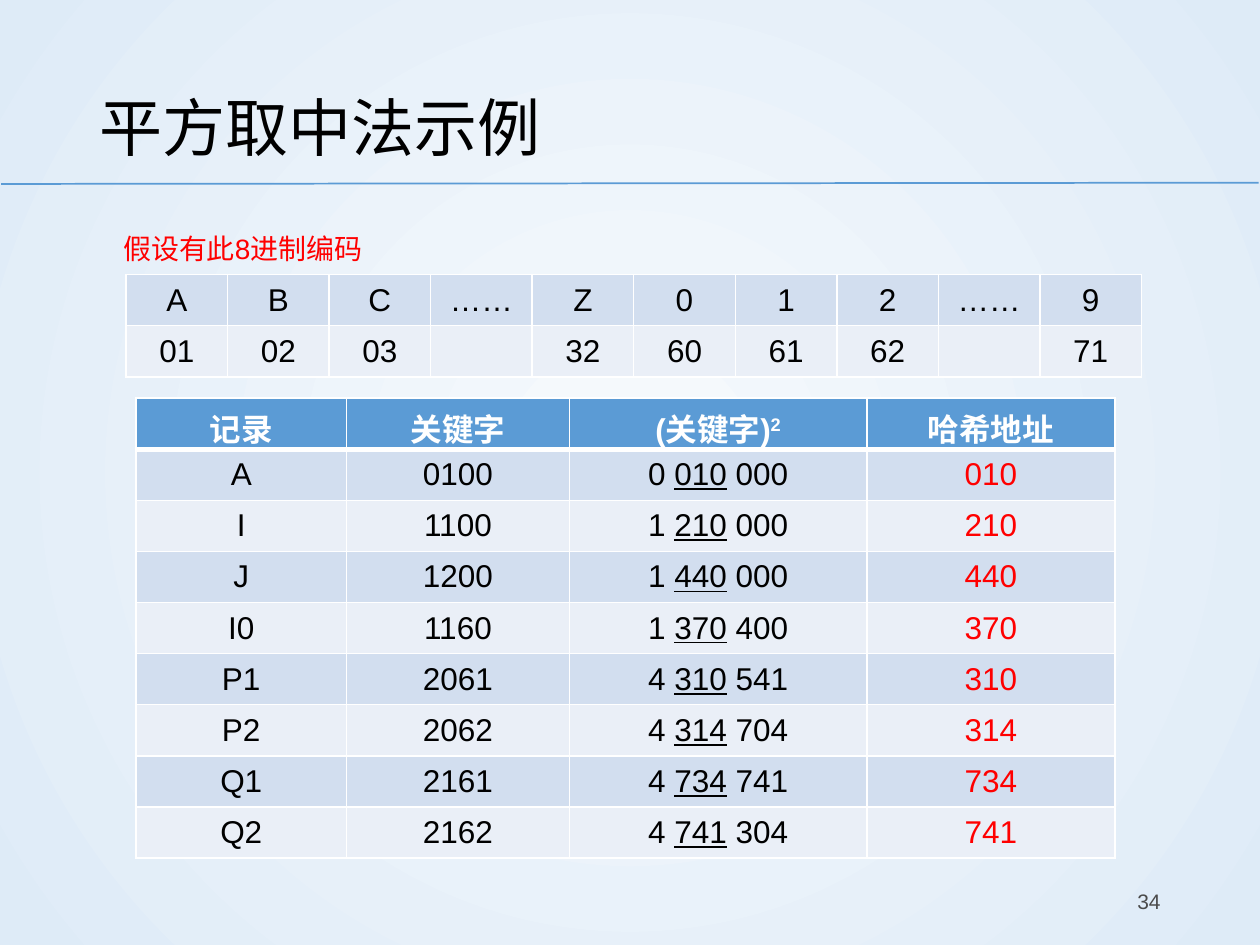
from typing import NamedTuple

from lxml import etree
from pptx import Presentation
from pptx.dml import color
from pptx.enum import shapes, text
from pptx.oxml import ns, parse_xml
from pptx.util import Inches, Pt

BLACK, WHITE, RED, GRAY = "000000", "FFFFFF", "FF0000", "4B4B4B"
BLUE, BAND_DARK, BAND_LIGHT = "5B9BD5", "D2DEEF", "EAEFF7"
LEFT, CENTER, RIGHT = text.PP_ALIGN.LEFT, text.PP_ALIGN.CENTER, text.PP_ALIGN.RIGHT


class Run(NamedTuple):
    words: str
    underline: bool = False
    baseline: int = 0


class Record(NamedTuple):
    name: str
    key: str
    head: str
    middle: str
    tail: str


class Box(NamedTuple):
    left: float
    top: float
    width: float
    height: float

    def lengths(self):
        return [Inches(value) for value in self]


CODES = [
    ["A", "B", "C", "……", "Z", "0", "1", "2", "……", "9"],
    ["01", "02", "03", "", "32", "60", "61", "62", "", "71"],
]
HEADINGS = ["记录", "关键字", [Run("(关键字)"), Run("2", baseline=30000)], "哈希地址"]
RECORDS = [
    Record("A", "0100", "0", "010", "000"),
    Record("I", "1100", "1", "210", "000"),
    Record("J", "1200", "1", "440", "000"),
    Record("I0", "1160", "1", "370", "400"),
    Record("P1", "2061", "4", "310", "541"),
    Record("P2", "2062", "4", "314", "704"),
    Record("Q1", "2161", "4", "734", "741"),
    Record("Q2", "2162", "4", "741", "304"),
]


def rgb(value: str) -> color.RGBColor:
    return color.RGBColor.from_string(value)


def write(frame, content, size=18, ink=BLACK, bold=False, align=LEFT,
          anchor=text.MSO_ANCHOR.MIDDLE, spacing=None) -> None:
    frame.word_wrap = True
    frame.vertical_anchor = anchor
    paragraph = frame.paragraphs[0]
    paragraph.alignment = align
    paragraph.line_spacing = spacing
    for part in [Run(content)] if isinstance(content, str) else content:
        if not part.words:
            continue
        run = paragraph.add_run()
        run.text = part.words
        font = run.font
        font.name, font.size, font.bold = "Arial", Pt(size), bold
        font.color.rgb = rgb(ink)
        if part.underline:
            font.underline = True
        if part.baseline:
            font._element.set("baseline", str(part.baseline))


def add_label(slide, box: Box, content: str, **style):
    label = slide.shapes.add_textbox(*box.lengths())
    write(label.text_frame, content, **style)
    return label


def set_borders(cell, top: float = 1, bottom: float = 1) -> None:
    properties = cell._tc.get_or_add_tcPr()
    edges = {"lnL": 1, "lnR": 1, "lnT": top, "lnB": bottom}
    for index, (tag, width) in enumerate(edges.items()):
        properties.insert(index, parse_xml(
            f'<a:{tag} {ns.nsdecls("a")} w="{Pt(width)}"><a:solidFill>'
            f'<a:srgbClr val="{WHITE}"/></a:solidFill></a:{tag}>'))


def add_grid(slide, box: Box, widths: list, rows: list, header: bool, red_column=None) -> None:
    table = slide.shapes.add_table(len(rows), len(widths), *box.lengths()).table
    table.first_row = header
    for column, width in zip(table.columns, widths):
        column.width = Inches(width)
    for r, row in enumerate(rows):
        table.rows[r].height = Inches(box.height / len(rows))
        heading = header and r == 0
        band = BAND_DARK if (r - header) % 2 == 0 else BAND_LIGHT
        for c, content in enumerate(row):
            cell = table.cell(r, c)
            cell.fill.solid()
            cell.fill.fore_color.rgb = rgb(BLUE if heading else band)
            cell.vertical_anchor = text.MSO_ANCHOR.MIDDLE
            ink = WHITE if heading else RED if c == red_column else BLACK
            write(cell.text_frame, content, ink=ink, bold=heading, align=CENTER)
            set_borders(cell, top=3 if header and r == 1 else 1, bottom=3 if heading else 1)


def paint_background(slide) -> None:
    fill = slide.background.fill
    fill.gradient()
    for stop, shade, position in zip(fill.gradient_stops, ("F7FAFD", "DEEBF7"), (0, 1)):
        stop.color.rgb = rgb(shade)
        stop.position = position
    gradient = slide.element.find(".//" + ns.qn("a:gradFill"))
    gradient.remove(gradient.find(ns.qn("a:lin")))
    circle = etree.SubElement(gradient, ns.qn("a:path"), {"path": "circle"})
    etree.SubElement(circle, ns.qn("a:fillToRect"), dict.fromkeys("ltrb", "50000"))


def add_rule(slide) -> None:
    rule = slide.shapes.add_connector(
        shapes.MSO_CONNECTOR.STRAIGHT, Inches(0.01), Inches(1.46), Inches(9.99), Inches(1.45))
    rule.line.color.rgb = rgb(BLUE)
    rule.line.width = Pt(1)
    etree.SubElement(rule._element.spPr, ns.qn("a:effectLst"))


def main() -> None:
    deck = Presentation()
    deck.slide_width, deck.slide_height = Inches(10), Inches(7.5)
    slide = deck.slides.add_slide(deck.slide_layouts[5])
    paint_background(slide)
    add_rule(slide)

    title = slide.shapes.title
    title.left, title.top, title.width, title.height = Box(0.69, 0.4, 8.62, 1.08).lengths()
    write(title.text_frame, "平方取中法示例", size=36, spacing=1.2)

    codes_box = Box(1, 2.18, 8.06, 0.81)
    columns = len(CODES[0])
    add_grid(slide, codes_box, [codes_box.width / columns] * columns, CODES, header=False)

    add_label(slide, Box(7.06, 6.95, 2.25, 0.4), "34", size=12, ink=GRAY, align=RIGHT)
    caption = add_label(slide, Box(0.88, 1.79, 7.06, 0.37), "假设有此8进制编码",
                        size=16, ink=RED, anchor=text.MSO_ANCHOR.TOP)
    caption.text_frame.auto_size = text.MSO_AUTO_SIZE.SHAPE_TO_FIT_TEXT

    hashes = [
        [record.name, record.key,
         [Run(f"{record.head} "), Run(record.middle, underline=True), Run(f" {record.tail}")],
         record.middle]
        for record in RECORDS
    ]
    add_grid(slide, Box(1.08, 3.16, 7.77, 3.65), [1.67, 1.77, 2.36, 1.97],
             [HEADINGS, *hashes], header=True, red_column=3)
    deck.save("out.pptx")


if __name__ == "__main__":
    main()
